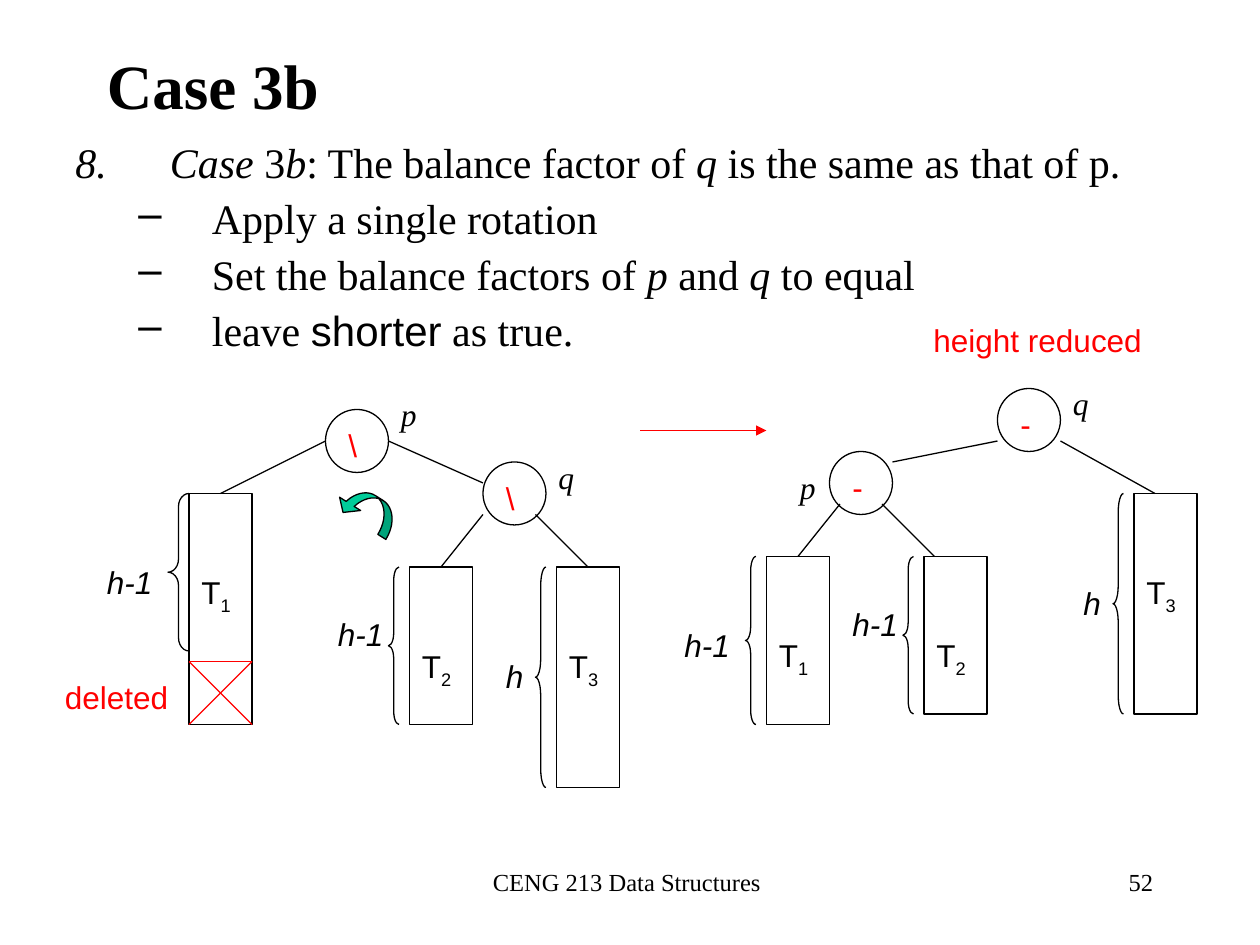
from typing import NamedTuple

import pptx
import pptx.dml.color
import pptx.enum.shapes
import pptx.enum.text
import pptx.oxml.ns
import pptx.util
from lxml import etree

PX = 7620  # EMU per px, 120 px to the inch
SERIF, SANS = "Times New Roman", "Arial"
COLORS = {"ink": "000000", "accent": "FF0000", "turn": "00CC99"}
LINE_WIDTH = pptx.util.Pt(0.75)
NODE_SIZE, SUBTREE_WIDTH, LABEL_HEIGHT = 60, 60, 48
SHAPES = pptx.enum.shapes.MSO_SHAPE
ALIGN = pptx.enum.text.PP_ALIGN
ANCHOR = pptx.enum.text.MSO_ANCHOR


class Run(NamedTuple):
    text: str
    size: int = 18
    font: str = SANS
    color: str = "ink"
    bold: bool = False
    italic: bool = False
    subscript: bool = False


class Node(NamedTuple):
    left: int
    top: int
    balance: str
    name: str
    name_dx: int
    name_dy: int


class Subtree(NamedTuple):
    left: int
    top: int
    height: int
    index: str
    brace_width: int
    brace_height: int
    label: str
    label_left: int
    label_top: int
    label_width: int


class Edge(NamedTuple):
    x1: int
    y1: int
    x2: int
    y2: int
    color: str = "ink"
    arrow: bool = False


def body(text: str, italic: bool = False, font: str = SERIF) -> Run:
    return Run(text, 24, font, italic=italic)


STEPS = [
    [body("Case", True), body(" 3"), body("b", True), body(": The balance factor of "),
     body("q", True), body(" is the same as that of p.")],
    [body("Apply a single rotation")],
    [body("Set the balance factors of "), body("p", True), body(" and "),
     body("q", True), body(" to equal")],
    [body("leave "), body("shorter", font=SANS), body(" as true.")],
]
NODES = [
    Node(310, 390, "\\", "p", 60, -20),
    Node(460, 440, "\\", "q", 60, -10),
    Node(950, 370, "-", "q", 60, -10),
    Node(790, 430, "-", "p", -40, 10),
]
SUBTREES = [
    Subtree(180, 470, 220, "1", 20, 150, "h-1", 90, 530, 110),
    Subtree(390, 540, 150, "2", 10, 150, "h-1", 310, 580, 100),
    Subtree(530, 540, 210, "3", 10, 210, "h", 470, 620, 60),
    Subtree(730, 530, 160, "1", 10, 160, "h-1", 640, 590, 110),
    Subtree(880, 530, 150, "2", 10, 150, "h-1", 800, 570, 100),
    Subtree(1080, 470, 210, "3", 10, 210, "h", 1020, 550, 60),
]
EDGES = [
    # Tree before the rotation
    Edge(310, 420, 210, 470), Edge(370, 420, 460, 460),
    Edge(460, 490, 420, 540), Edge(510, 490, 560, 540),
    # Tree after the rotation
    Edge(950, 420, 850, 440), Edge(1010, 420, 1100, 470),
    Edge(800, 480, 760, 530), Edge(840, 480, 890, 530),
    # Crossed-out deleted part
    Edge(180, 630, 240, 630, "accent"), Edge(180, 630, 240, 690, "accent"),
    Edge(240, 630, 180, 690, "accent"),
    # Arrow from one tree to the other
    Edge(610, 410, 730, 410, "accent", True),
]


def rgb(name: str) -> pptx.dml.color.RGBColor:
    return pptx.dml.color.RGBColor.from_string(COLORS[name])


def add_runs(paragraph, runs: list[Run]) -> None:
    for item in runs:
        run = paragraph.add_run()
        run.text = item.text
        run.font.size = pptx.util.Pt(item.size)
        run.font.name = item.font
        run.font.color.rgb = rgb(item.color)
        run.font.bold = item.bold
        run.font.italic = item.italic
        if item.subscript:
            run._r.get_or_add_rPr().set("baseline", "-25000")


def add_text(slide, left: int, top: int, width: int, height: int, runs: list[Run],
             align=ALIGN.LEFT, anchor=ANCHOR.TOP):
    box = slide.shapes.add_textbox(left * PX, top * PX, width * PX, height * PX)
    frame = box.text_frame
    frame.word_wrap = True
    frame.vertical_anchor = anchor
    frame.paragraphs[0].alignment = align
    add_runs(frame.paragraphs[0], runs)
    return frame


def add_outline(slide, kind, left: int, top: int, width: int, height: int):
    shape = slide.shapes.add_shape(kind, left * PX, top * PX, width * PX, height * PX)
    shape.shadow.inherit = False
    shape.fill.background()
    shape.line.color.rgb = rgb("ink")
    shape.line.width = LINE_WIDTH
    return shape


def add_edge(slide, edge: Edge) -> None:
    connector = slide.shapes.add_connector(
        pptx.enum.shapes.MSO_CONNECTOR.STRAIGHT,
        edge.x1 * PX, edge.y1 * PX, edge.x2 * PX, edge.y2 * PX)
    connector.line.color.rgb = rgb(edge.color)
    connector.line.width = LINE_WIDTH
    if edge.arrow:
        line = connector.line._get_or_add_ln()
        etree.SubElement(line, pptx.oxml.ns.qn("a:tailEnd"), type="triangle")
    etree.SubElement(connector._element.spPr, pptx.oxml.ns.qn("a:effectLst"))


def add_node(slide, node: Node) -> None:
    add_outline(slide, SHAPES.OVAL, node.left, node.top, NODE_SIZE, NODE_SIZE)
    add_text(slide, node.left + 10, node.top + 10, 50, LABEL_HEIGHT,
             [Run(node.balance, color="accent")])
    add_text(slide, node.left + node.name_dx, node.top + node.name_dy, 70, LABEL_HEIGHT,
             [Run(node.name, font=SERIF, italic=True)])


def add_subtree(slide, tree: Subtree) -> None:
    add_outline(slide, SHAPES.RECTANGLE, tree.left, tree.top, SUBTREE_WIDTH, tree.height)
    add_text(slide, tree.left, tree.top + 70, SUBTREE_WIDTH, 53,
             [Run("T"), Run(tree.index, subscript=True)])
    brace = add_outline(slide, SHAPES.LEFT_BRACE, tree.left - 20, tree.top,
                        tree.brace_width, tree.brace_height)
    brace.adjustments[0] = tree.brace_height / tree.brace_width / 12
    add_text(slide, tree.label_left, tree.label_top, tree.label_width, LABEL_HEIGHT,
             [Run(tree.label, italic=True)])


def add_steps(slide) -> None:
    frame = add_text(slide, 60, 130, 1080, 230, [])
    for number, runs in enumerate(STEPS):
        first = number == 0
        paragraph = frame.paragraphs[0] if first else frame.add_paragraph()
        margin, indent = (90, -90) if first else (130, -70)
        properties = paragraph._p.get_or_add_pPr()
        properties.set("marL", str(margin * PX))
        properties.set("indent", str(indent * PX))
        if first:
            etree.SubElement(properties, pptx.oxml.ns.qn("a:buAutoNum"),
                             type="arabicPeriod", startAt="8")
        else:
            etree.SubElement(properties, pptx.oxml.ns.qn("a:buChar"), char="–")
            paragraph.level = 1
            paragraph.space_before = pptx.util.Pt(6)
        paragraph.line_spacing = 0.9
        add_runs(paragraph, runs)


def main() -> None:
    presentation = pptx.Presentation()
    presentation.slide_width, presentation.slide_height = 1200 * PX, 900 * PX
    slide = presentation.slides.add_slide(presentation.slide_layouts[6])

    # Title, steps and footer
    add_text(slide, 90, 50, 1020, 61, [Run("Case 3b", 36, SERIF, bold=True)],
             anchor=ANCHOR.MIDDLE)
    add_steps(slide)
    add_text(slide, 407, 820, 380, 60, [Run("CENG 213 Data Structures", 14, SERIF)],
             ALIGN.CENTER)
    add_text(slide, 860, 820, 250, 60, [Run("52", 14, SERIF)], ALIGN.RIGHT)

    # Both trees
    for node in NODES:
        add_node(slide, node)
    for tree in SUBTREES:
        add_subtree(slide, tree)
    for edge in EDGES:
        add_edge(slide, edge)

    # Rotation arrow
    turn = add_outline(slide, SHAPES.CURVED_RIGHT_ARROW, 335, 455, 30, 60)
    turn.fill.solid()
    turn.fill.fore_color.rgb = rgb("turn")
    turn.rotation = 122.2
    for index, value in enumerate((0.3, 0.79, 0.35)):
        turn.adjustments[index] = value

    # Remarks
    add_text(slide, 50, 640, 140, LABEL_HEIGHT, [Run("deleted", color="accent")])
    remark = add_text(slide, 860, 300, 340, 103, [Run("height reduced", color="accent")])
    remark.margin_left = 29 * PX

    presentation.save("out.pptx")


if __name__ == "__main__":
    main()
